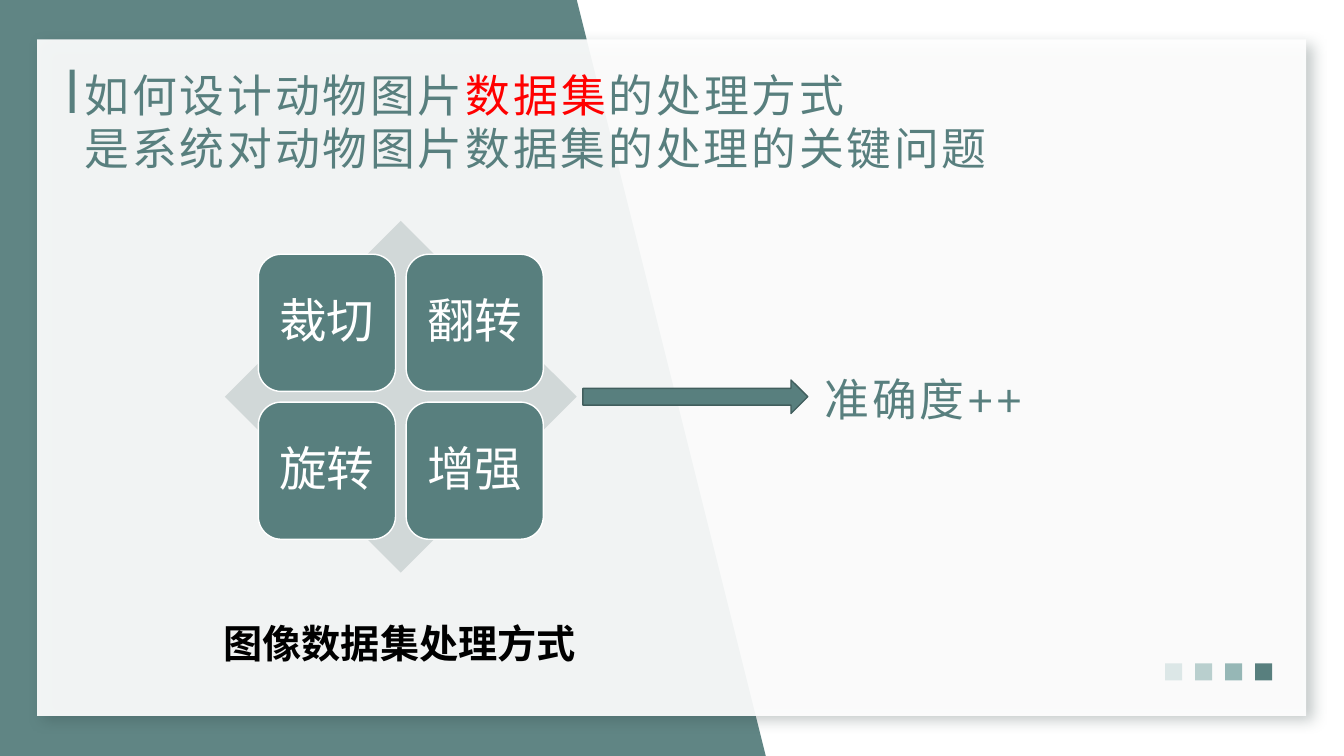
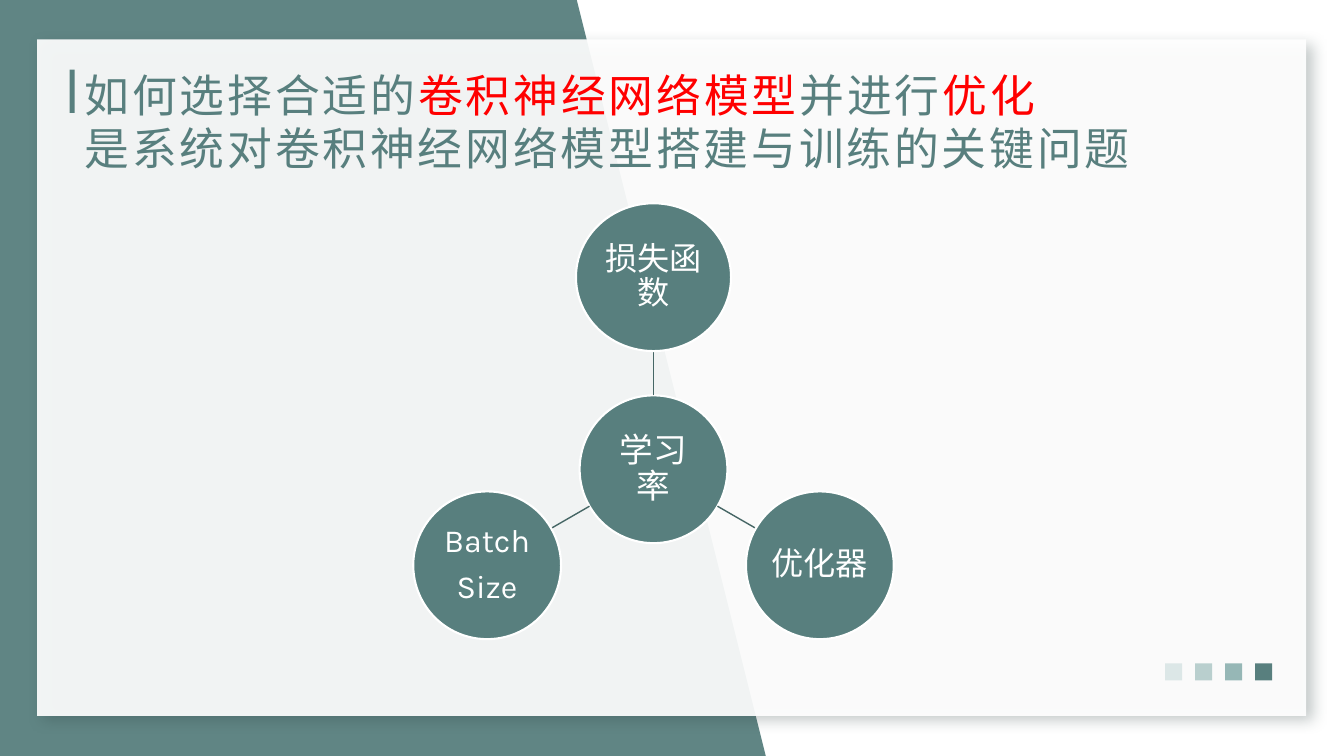
import math

from lxml import etree
from pptx import Presentation
from pptx.dml.color import RGBColor
from pptx.enum.shapes import MSO_CONNECTOR, MSO_SHAPE
from pptx.enum.text import MSO_ANCHOR, PP_ALIGN
from pptx.oxml.ns import qn
from pptx.util import Pt

RECTANGLE, ROUNDED = MSO_SHAPE.RECTANGLE, MSO_SHAPE.ROUNDED_RECTANGLE
DIAMOND, ELLIPSE, ARROW = MSO_SHAPE.DIAMOND, MSO_SHAPE.OVAL, MSO_SHAPE.RIGHT_ARROW
STRAIGHT = MSO_CONNECTOR.STRAIGHT
TOP, MIDDLE = MSO_ANCHOR.TOP, MSO_ANCHOR.MIDDLE
LEFT, CENTER = PP_ALIGN.LEFT, PP_ALIGN.CENTER

COLORS = {
    "teal": "587F7E", "teal_mid": "96B7B6", "teal_light": "B9CFCE",
    "teal_pale": "DCE7E7", "arrow_edge": "415E5D", "link": "466665",
    "shadow": "2C403F", "diamond": "D1D8D8",
    "white": "FFFFFF", "red": "FF0000", "black": "000000",
}

# Text styles: font attributes, then colour, spacing and layout
HEADING = {"font": {"name": "Lato", "size": Pt(32)}, "color": "teal", "tracking": 2,
           "paragraph": {"alignment": LEFT}, "anchor": TOP, "insets": (7.2, 3.6)}
CAPTION = {"font": {"name": "Karla", "size": Pt(28), "bold": True}, "color": "black",
           "tracking": 0, "paragraph": {"alignment": LEFT}, "anchor": TOP,
           "insets": (7.2, 3.6)}
TILE = {"font": {"name": "Karla", "size": Pt(34)}, "color": "white", "tracking": 0,
        "paragraph": {"alignment": CENTER, "line_spacing": 0.9},
        "anchor": MIDDLE, "insets": (9.5, 9.5)}
HUB = TILE | {"font": {"name": "Karla", "size": Pt(24)}, "insets": (1.4, 1.4)}
SATELLITE = HUB | {"font": {"name": "Karla", "size": Pt(23)}}


def paint(shape, fill, line=None, width=1, opacity=100):
    shape.shadow.inherit = False
    shape.fill.solid()
    shape.fill.fore_color.rgb = RGBColor.from_string(COLORS[fill])
    if opacity < 100:
        color = shape.fill._xPr.find(qn("a:solidFill"))[0]
        etree.SubElement(color, qn("a:alpha"), val=str(opacity * 1000))
    if line:
        shape.line.color.rgb = RGBColor.from_string(COLORS[line])
        shape.line.width = Pt(width)
    else:
        shape.line.fill.background()
    return shape


def write(shape, lines, style, gap=0):
    """Each line is a list of (text, colour) runs; no colour means the style's own."""
    frame = shape.text_frame
    across, down = map(Pt, style["insets"])
    layout = {"word_wrap": True, "vertical_anchor": style["anchor"],
              "margin_left": across, "margin_right": across,
              "margin_top": down, "margin_bottom": down}
    for name, value in layout.items():
        setattr(frame, name, value)
    for number, runs in enumerate(lines):
        paragraph = frame.add_paragraph() if number else frame.paragraphs[0]
        for name, value in style["paragraph"].items():
            setattr(paragraph, name, value)
        if number:
            paragraph.space_before = Pt(gap)
        for text, color in runs:
            run = paragraph.add_run()
            run.text = text
            for name, value in style["font"].items():
                setattr(run.font, name, value)
            run.font.color.rgb = RGBColor.from_string(COLORS[color or style["color"]])
            properties = run._r.get_or_add_rPr()
            properties.set("spc", str(style["tracking"] * 100))
            etree.SubElement(properties, qn("a:ea"), typeface=style["font"]["name"])


presentation = Presentation()
presentation.slide_width, presentation.slide_height = Pt(960), Pt(540)

TITLES = [
    [[("如何设计动物图片", None), ("数据集", "red"), ("的处理方式", None)],
     [("是系统对动物图片数据集的处理的关键问题", None)]],
    [[("如何选择合适的", None), ("卷积神经网络模型", "red"), ("并进行", None),
      ("优化", "red")],
     [("是系统对卷积神经网络模型搭建与训练的关键问题", None)]],
]

# Shared frame and title
for title in TITLES:
    slide = presentation.slides.add_slide(presentation.slide_layouts[6])

    # Slanted teal band
    builder = slide.shapes.build_freeform(0, 0)
    builder.add_line_segments([(Pt(x), Pt(y)) for x, y in
                               [(412, 0), (547, 540), (0, 540)]])
    paint(builder.convert_to_shape(), "teal", opacity=95)

    # Translucent card with a soft shadow
    card = slide.shapes.add_shape(RECTANGLE, *map(Pt, (26.6, 28.2, 906.4, 483.2)))
    paint(card, "white", opacity=92)
    effects = card._element.spPr.find(qn("a:effectLst"))
    shadow = etree.SubElement(effects, qn("a:outerShdw"), blurRad=str(Pt(10)),
                              dist=str(Pt(6)), dir=str(45 * 60000),
                              algn="tl", rotWithShape="0")
    color = etree.SubElement(shadow, qn("a:srgbClr"), val=COLORS["shadow"])
    etree.SubElement(color, qn("a:alpha"), val="30000")

    # Row of squares, pale to dark
    for column, tint in enumerate(["teal_pale", "teal_light", "teal_mid", "teal"]):
        box = (832.3 + 21.4 * column, 473.9, 12.2, 12.2)
        paint(slide.shapes.add_shape(RECTANGLE, *map(Pt, box)), tint)

    # Title and its marker
    paint(slide.shapes.add_shape(RECTANGLE, *map(Pt, (49.8, 49.7, 3.6, 31))), "teal")
    heading = slide.shapes.add_textbox(*map(Pt, (53.3, 44.6, 848, 84)))
    write(heading, title, HEADING)

processing, network = presentation.slides

# Slide 1: four processing methods on a diamond
paint(processing.shapes.add_shape(DIAMOND, *map(Pt, (160.6, 157.7, 251.3, 251.3))),
      "diamond")
for index, method in enumerate(["裁切", "翻转", "旋转", "增强"]):
    row, column = divmod(index, 2)
    box = (184.5 + 105.6 * column, 181.6 + 105.6 * row, 98, 98)
    tile = processing.shapes.add_shape(ROUNDED, *map(Pt, box))
    write(paint(tile, "teal", "white"), [[(method, None)]], TILE)

# Arrow to the result, and the caption
arrow = processing.shapes.add_shape(ARROW, *map(Pt, (416.4, 271.4, 160.6, 24)))
paint(arrow, "teal", "arrow_edge")
for label, box, style in [
    ("准确度++", (581.8, 262, 281.5, 46), HEADING),
    ("图像数据集处理方式", (152.6, 438.5, 266.4, 41), CAPTION),
]:
    write(processing.shapes.add_textbox(*map(Pt, box)), [[(label, None)]], style)

# Slide 2: a hub with three satellites at equal angles
HUB_X, HUB_Y, DIAMETER, DISTANCE = 466.8, 335.2, 105.6, 137.2
NODES = [  # lines, angle (None for the hub), width
    (["学习率"], None, DIAMETER),
    (["损失函数"], -90, 110.8),
    (["优化器"], 30, DIAMETER),
    (["Batch", "Size"], 150, DIAMETER),
]
for words, angle, width in NODES:
    x, y, style = HUB_X, HUB_Y, HUB
    if angle is not None:
        across, down = math.cos(math.radians(angle)), math.sin(math.radians(angle))
        x, y, style = HUB_X + DISTANCE * across, HUB_Y + DISTANCE * down, SATELLITE
        ends = [Pt(start + reach * step)
                for reach in (DIAMETER / 2, DISTANCE - DIAMETER / 2)
                for start, step in ((HUB_X, across), (HUB_Y, down))]
        link = network.shapes.add_connector(STRAIGHT, *ends)
        link.line.color.rgb = RGBColor.from_string(COLORS["link"])
        link.line.width = Pt(1)
        etree.SubElement(link._element.spPr, qn("a:effectLst"))
    box = (x - width / 2, y - DIAMETER / 2, width, DIAMETER)
    circle = network.shapes.add_shape(ELLIPSE, *map(Pt, box))
    paint(circle, "teal", "white", 1.5)
    write(circle, [[(word, None)] for word in words], style, gap=8)

presentation.save("out.pptx")
